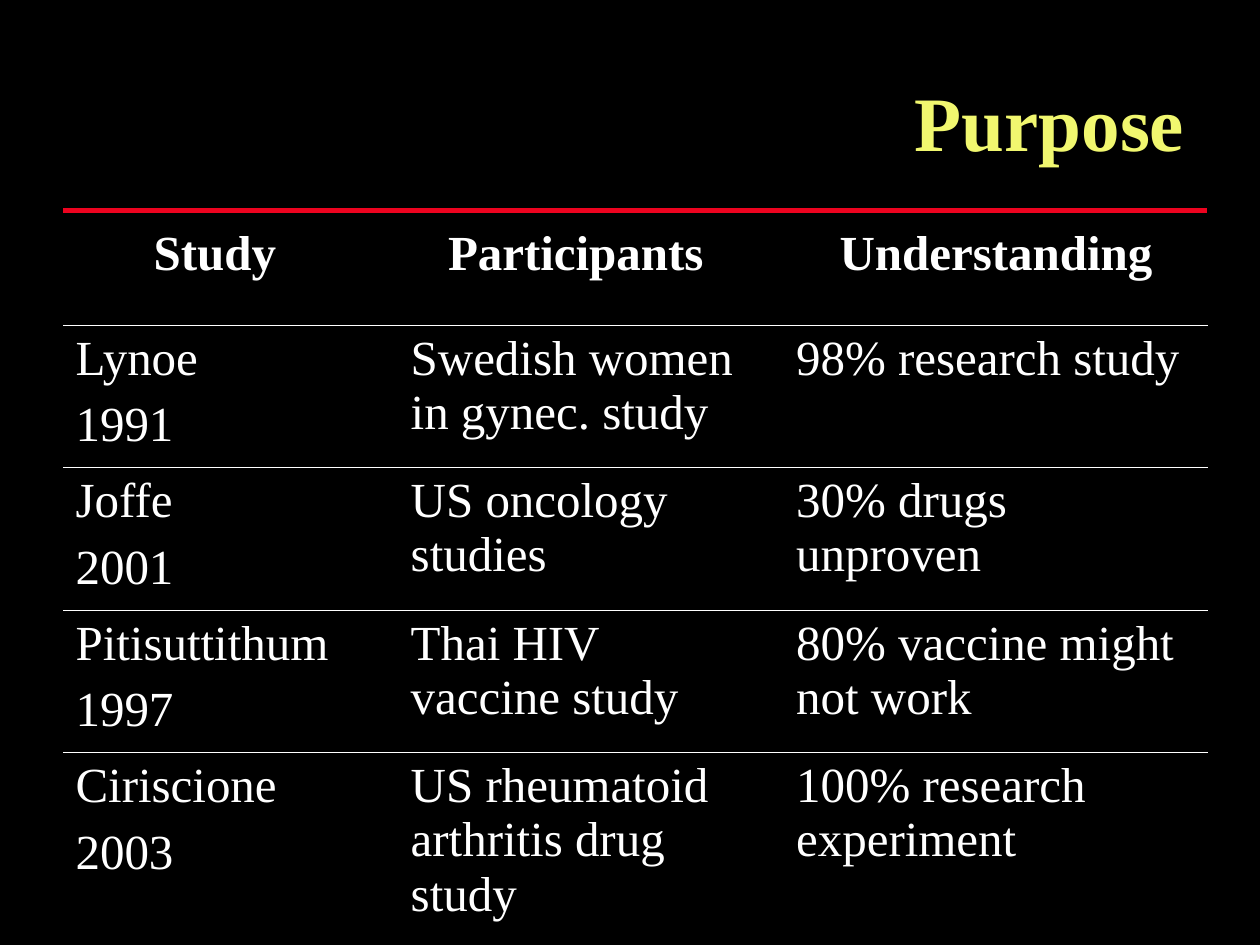
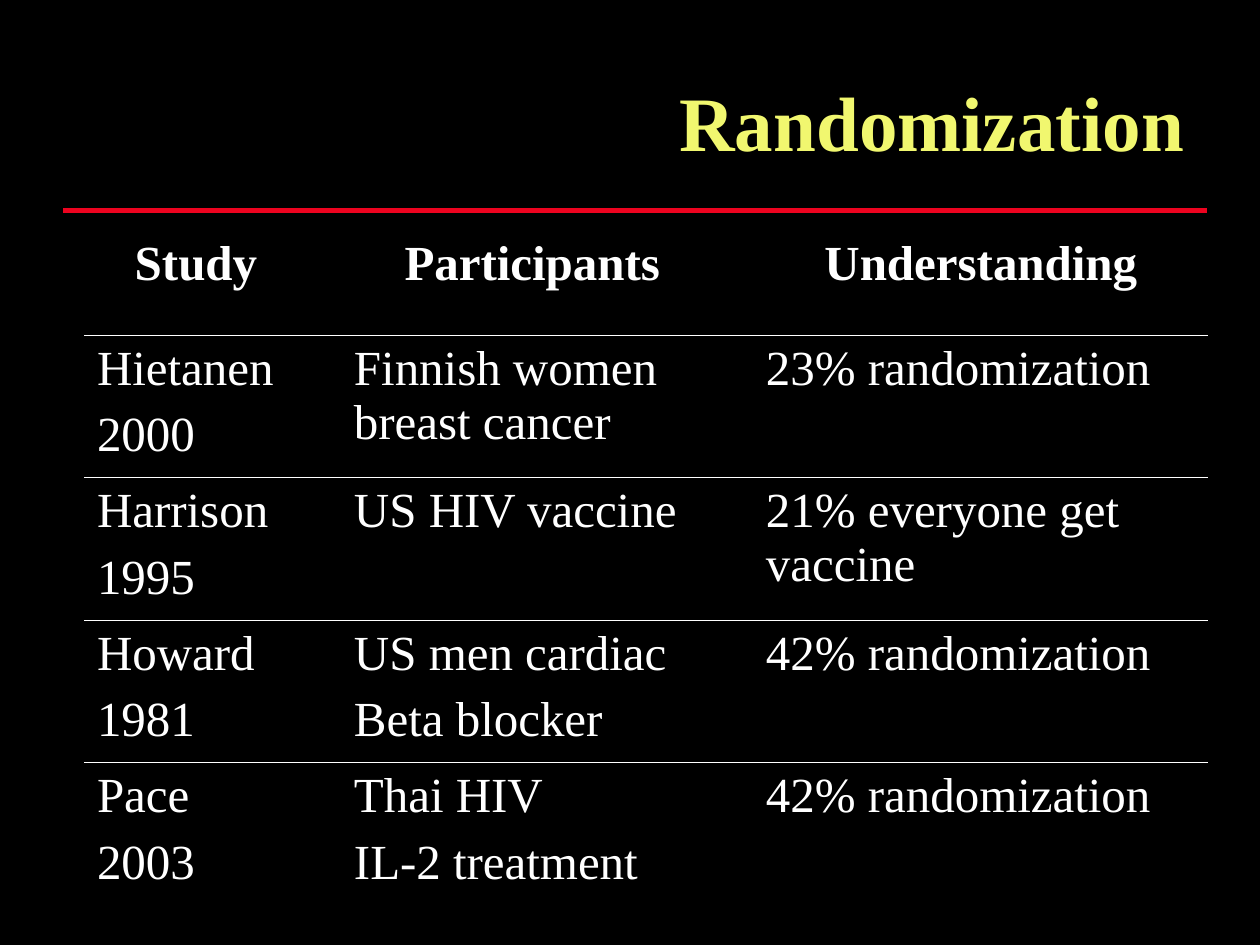
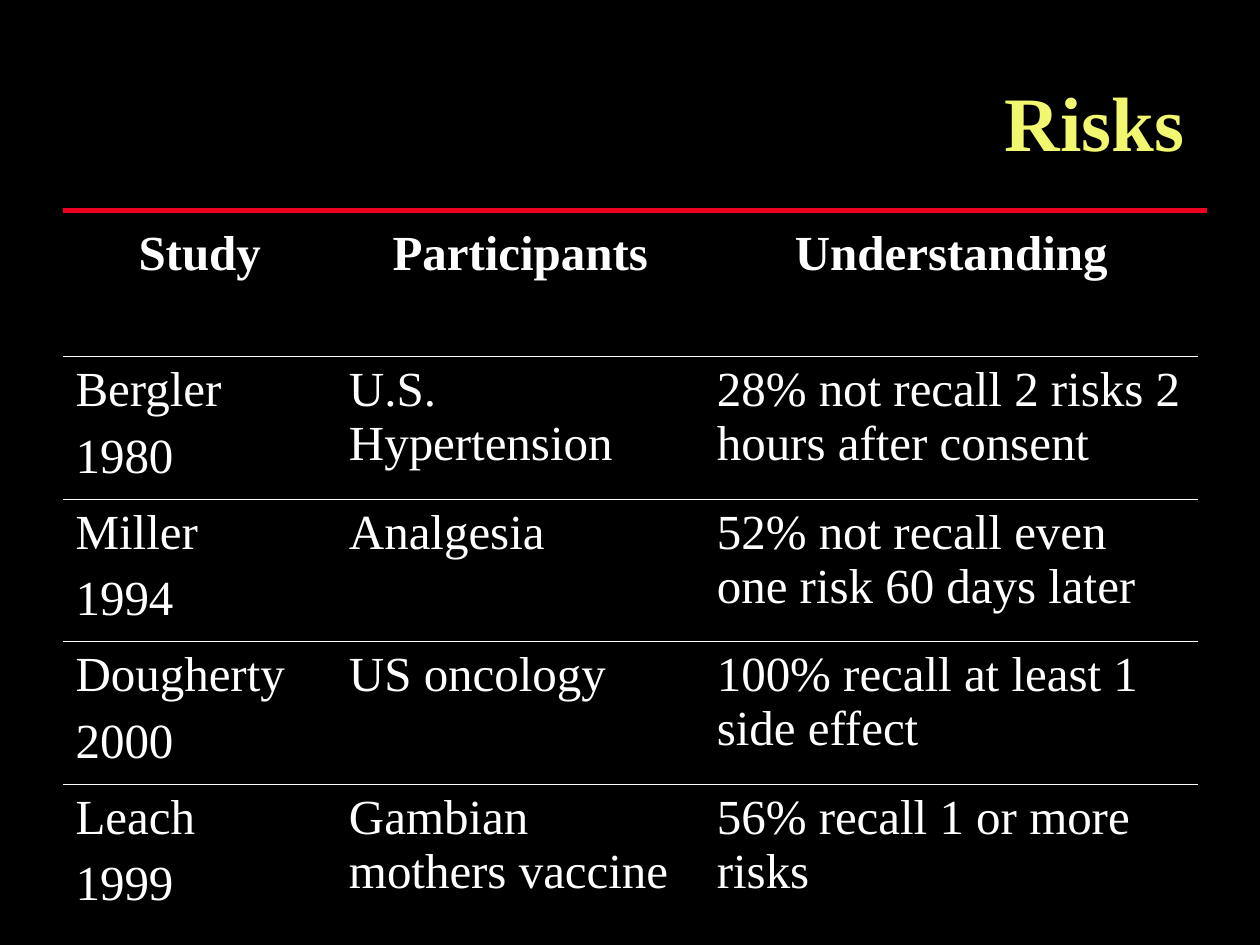
from lxml.etree import SubElement
from pptx import Presentation
from pptx.dml.color import RGBColor
from pptx.enum.shapes import MSO_CONNECTOR
from pptx.enum.text import MSO_ANCHOR, PP_ALIGN
from pptx.oxml import parse_xml
from pptx.oxml.ns import nsdecls, qn
from pptx.util import Inches, Pt

BLACK = RGBColor(0x00, 0x00, 0x00)
WHITE = RGBColor(0xFF, 0xFF, 0xFF)
RED = RGBColor(0xED, 0x03, 0x1F)
YELLOW = RGBColor(0xF1, 0xF7, 0x6F)
FONT = "Times New Roman"
PLAIN_STYLE = "{2D5ABB26-0587-4C30-8999-92F81FD0307C}"
BORDER = Pt(0.45)
HEAD = ("Study", "Participants", "Understanding")

# Each slide: title, table corner, column widths, row heights, studies.
# A column narrower than SPACER holds no text.
SPACER = 0.5
SLIDES = [
    ("Purpose", (0.5, 1.75), (2.41, 0.25, 2.82, 0.24, 3.37),
     (0.83, 1.13, 1.13, 1.13, 1.5), [
         ("Lynoe\n1991", "Swedish women in gynec. study", "98% research study"),
         ("Joffe\n2001", "US oncology studies", "30% drugs unproven"),
         ("Pitisuttithum\n1997", "Thai HIV vaccine study",
          "80% vaccine might not work"),
         ("Ciriscione\n2003", "US rheumatoid arthritis drug study",
          "100% research experiment"),
     ]),
    ("Randomization", (0.67, 1.83), (1.77, 0.27, 3.03, 0.24, 3.61),
     (0.83, 1.13, 1.13, 1.13, 1.13), [
         ("Hietanen\n2000", "Finnish women breast cancer", "23% randomization"),
         ("Harrison\n1995", "US HIV vaccine", "21% everyone get vaccine"),
         ("Howard\n1981", "US men cardiac\nBeta blocker", "42% randomization"),
         ("Pace\n2003", "Thai HIV\nIL-2 treatment", "42% randomization"),
     ]),
    ("Risks", (0.5, 1.75), (2.17, 2.92, 3.92),
     (1.08, 1.13, 1.13, 1.13, 1.13), [
         ("Bergler\n1980", "U.S. Hypertension",
          "28% not recall 2 risks 2 hours after consent"),
         ("Miller\n1994", "Analgesia",
          "52% not recall even one risk 60 days later"),
         ("Dougherty\n2000", "US oncology", "100% recall at least 1 side effect"),
         ("Leach\n1999", "Gambian mothers vaccine", "56% recall 1 or more risks"),
     ]),
]


def write(frame, text, size, color, bold, align):
    """Fill a text frame with one paragraph for each line of text."""
    for i, line in enumerate(text.split("\n")):
        para = frame.add_paragraph() if i else frame.paragraphs[0]
        para.alignment = align
        if i:
            para.space_before = Pt(7)
        run = para.add_run()
        run.text = line
        font = run.font
        font.name, font.size, font.bold = FONT, Pt(size), bold
        font.color.rgb = color


def add_title(slide, text, left, top, width, height):
    box = slide.shapes.add_textbox(
        Inches(left), Inches(top), Inches(width), Inches(height))
    frame = box.text_frame
    frame.word_wrap = True
    frame.vertical_anchor = MSO_ANCHOR.MIDDLE
    write(frame, text, 44, YELLOW, True, PP_ALIGN.RIGHT)


def add_rule(slide, left, top, width):
    rule = slide.shapes.add_connector(
        MSO_CONNECTOR.STRAIGHT, Inches(left), Inches(top),
        Inches(left + width), Inches(top))
    rule.line.color.rgb = RED
    rule.line.width = Pt(3)
    SubElement(rule._element.spPr, qn("a:effectLst"))


def set_borders(cell, top, bottom):
    """Draw the chosen horizontal borders and clear the other sides."""
    props = cell._tc.get_or_add_tcPr()
    sides = (("L", False), ("R", False), ("T", top), ("B", bottom))
    for i, (side, shown) in enumerate(sides):
        fill = (f'<a:solidFill><a:srgbClr val="{WHITE}"/></a:solidFill>'
                if shown else "<a:noFill/>")
        props.insert(i, parse_xml(
            f'<a:ln{side} {nsdecls("a")} w="{BORDER}">{fill}</a:ln{side}>'))


def add_studies(slide, corner, widths, heights, studies):
    left, top = corner
    table = slide.shapes.add_table(
        len(heights), len(widths), Inches(left), Inches(top),
        Inches(sum(widths)), Inches(sum(heights))).table
    table.first_row = table.horz_banding = False
    table._tbl.tblPr.find(qn("a:tableStyleId")).text = PLAIN_STYLE
    for col, width in zip(table.columns, widths):
        col.width = Inches(width)
    last = len(heights) - 1
    for r, (height, texts) in enumerate(zip(heights, [HEAD, *studies])):
        table.rows[r].height = Inches(height)
        align = PP_ALIGN.LEFT if r else PP_ALIGN.CENTER
        words = iter(texts)
        for c, width in enumerate(widths):
            cell = table.cell(r, c)
            cell.fill.solid()
            cell.fill.fore_color.rgb = BLACK
            set_borders(cell, r > 0, r < last)
            if width > SPACER:
                write(cell.text_frame, next(words), 28, WHITE, r == 0, align)


def main():
    prs = Presentation()
    prs.slide_width, prs.slide_height = Inches(10), Inches(7.5)
    back = prs.slide_master.background.fill
    back.solid()
    back.fore_color.rgb = BLACK
    for title, *grid in SLIDES:
        slide = prs.slides.add_slide(prs.slide_layouts[6])
        add_rule(slide, 0.5, 1.67, 9.08)
        add_title(slide, title, 0.5, 0.33, 9, 1.25)
        add_studies(slide, *grid)
    prs.save("out.pptx")


if __name__ == "__main__":
    main()
